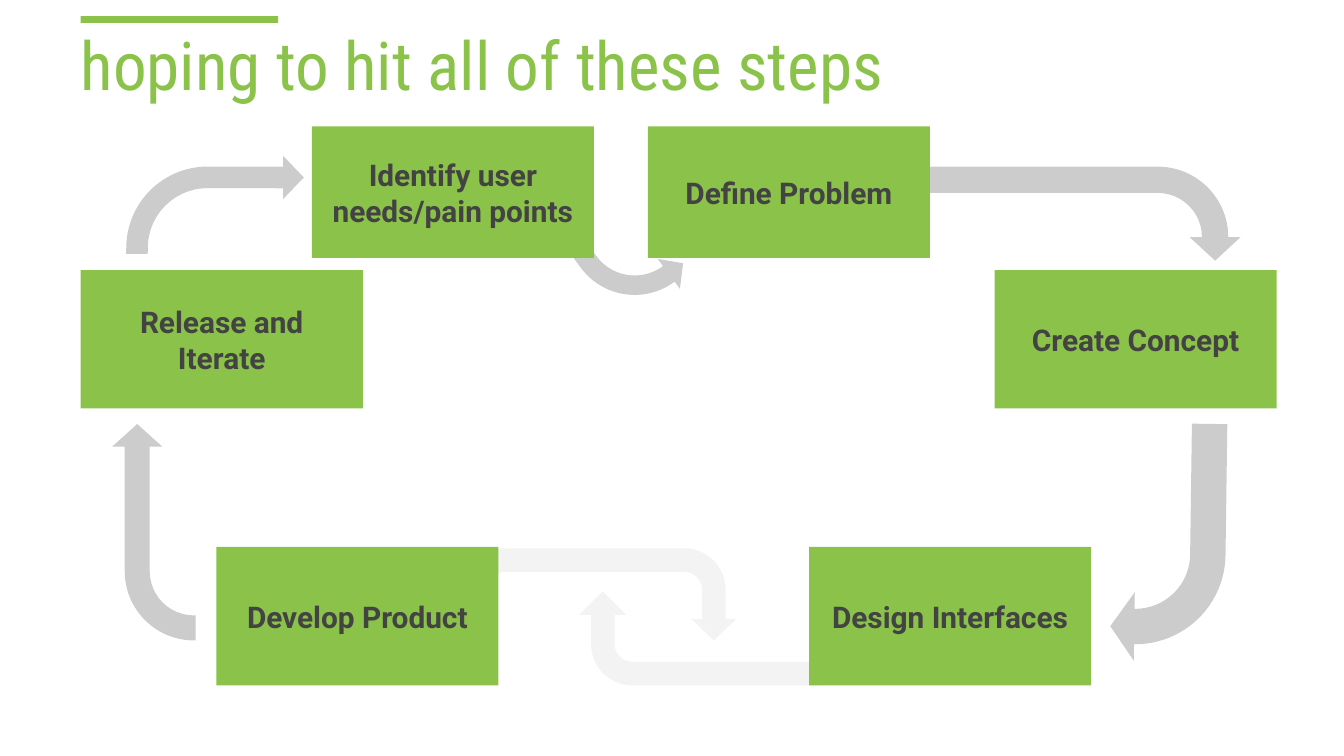
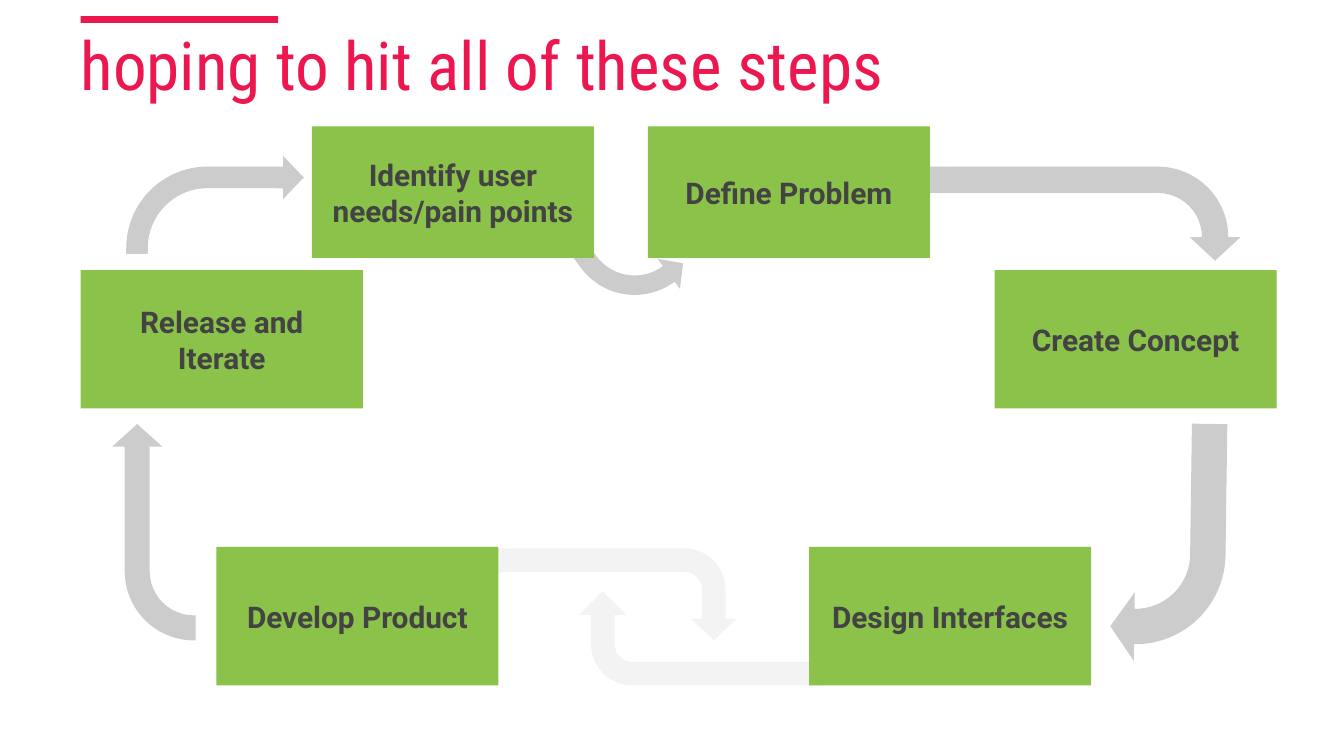
from pptx import Presentation
from pptx.dml.color import RGBColor
from pptx.enum.shapes import MSO_SHAPE as Preset
from pptx.enum.text import MSO_ANCHOR as Anchor, MSO_AUTO_SIZE as AutoSize, PP_ALIGN as Align
from pptx.util import Inches, Pt

COLORS = {
    "green": "8BC34A",
    "pink": "ED174F",
    "ink": "434343",
    "arrow": "CCCCCC",
    "faint": "F3F3F3",
}

SLIDE_WIDTH = 10
STEP_WIDTH = 2.1
TOP_ROW = (0.94, 0.98)
MIDDLE_ROW = (2.01, 1.03)
BOTTOM_ROW = (4.07, 1.03)

STEPS = [
    ("Identify user needs/pain points", 2.32, TOP_ROW),
    ("Define Problem", 4.82, TOP_ROW),
    ("Create Concept", 7.4, MIDDLE_ROW),
    ("Design Interfaces", 6.02, BOTTOM_ROW),
    ("Develop Product", 1.61, BOTTOM_ROW),
    ("Release and Iterate", 0.6, MIDDLE_ROW),
]

BENT, UTURN = Preset.BENT_ARROW, Preset.U_TURN_ARROW
ARROWS = [
    (BENT, (4.35, 1.51, 0.63, 0.83), 143.3, True, "arrow", (0.23, 0.22, 0.21, 0.83)),
    (UTURN, (3.45, 4.08, 2.03, 0.7), 0, False, "faint", (0.25, 0.24, 0.23, 0.44, 0.98)),
    (UTURN, (4.31, 4.4, 2.12, 0.7), 180, False, "faint", (0.25, 0.25, 0.25, 0.44, 1)),
    (BENT, (0.94, 1.16, 1.32, 0.73), 0.1, False, "arrow", (0.22, 0.22, 0.21, 0.83)),
    (BENT, (7.3, 0.01, 0.7, 3.16), 90, False, "arrow", (0.28, 0.27, 0.25, 0.75)),
    (BENT, (0.34, 3.65, 1.61, 0.62), 270, False, "arrow", (0.3, 0.3, 0.27, 0.83)),
    (BENT, (8.27, 3.15, 0.85, 1.77), 180.8, False, "arrow", (0.31, 0.3, 0.21, 0.83)),
]


def rgb(color):
    return RGBColor.from_string(COLORS[color])


def write(frame, text, *, size, font, color, bold=False, align=Align.LEFT, anchor=Anchor.MIDDLE):
    frame.word_wrap = True
    frame.auto_size = AutoSize.NONE
    frame.vertical_anchor = anchor
    frame.margin_left = frame.margin_right = Inches(0.1)
    frame.margin_top = frame.margin_bottom = Inches(0.1)
    paragraph = frame.paragraphs[0]
    paragraph.alignment = align
    run = paragraph.add_run()
    run.text = text
    run.font.name = font
    run.font.size = Pt(size)
    run.font.bold = bold
    run.font.color.rgb = rgb(color)


class Deck:
    def __init__(self):
        self.show = Presentation()
        self.show.slide_width = Inches(SLIDE_WIDTH)
        self.show.slide_height = Inches(SLIDE_WIDTH * 9 / 16)
        self.slide = None

    def start(self, heading, accent):
        self.slide = self.show.slides.add_slide(self.show.slide_layouts[5])
        title = self.slide.shapes.title
        title.left, title.top = Inches(0.5), Inches(0.17)
        title.width, title.height = Inches(9), Inches(0.7)
        write(title.text_frame, heading, size=36, font="Roboto Condensed",
              color=accent, anchor=Anchor.BOTTOM)
        self.block(Preset.RECTANGLE, (0.6, 0.12, 1.47, 0.05), accent)

    def block(self, preset, place, color):
        block = self.slide.shapes.add_shape(preset, *map(Inches, place))
        block.shadow.inherit = False
        block.fill.solid()
        block.fill.fore_color.rgb = rgb(color)
        block.line.fill.background()
        return block

    def arrow(self, preset, place, turn, mirrored, color, bends):
        arrow = self.block(preset, place, color)
        arrow.rotation = turn
        if mirrored:
            arrow.element.spPr.get_or_add_xfrm().set("flipH", "1")
        for index, bend in enumerate(bends):
            arrow.adjustments[index] = bend

    def step(self, label, left, row):
        top, height = row
        step = self.block(Preset.RECTANGLE, (left, top, STEP_WIDTH, height), "green")
        write(step.text_frame, label, size=16, font="Roboto", color="ink",
              bold=True, align=Align.CENTER)


def main():
    deck = Deck()
    for accent in ("green", "pink"):
        deck.start("hoping to hit all of these steps", accent)
        for arrow in ARROWS:
            deck.arrow(*arrow)
        for step in STEPS:
            deck.step(*step)
    deck.show.save("out.pptx")


if __name__ == "__main__":
    main()
